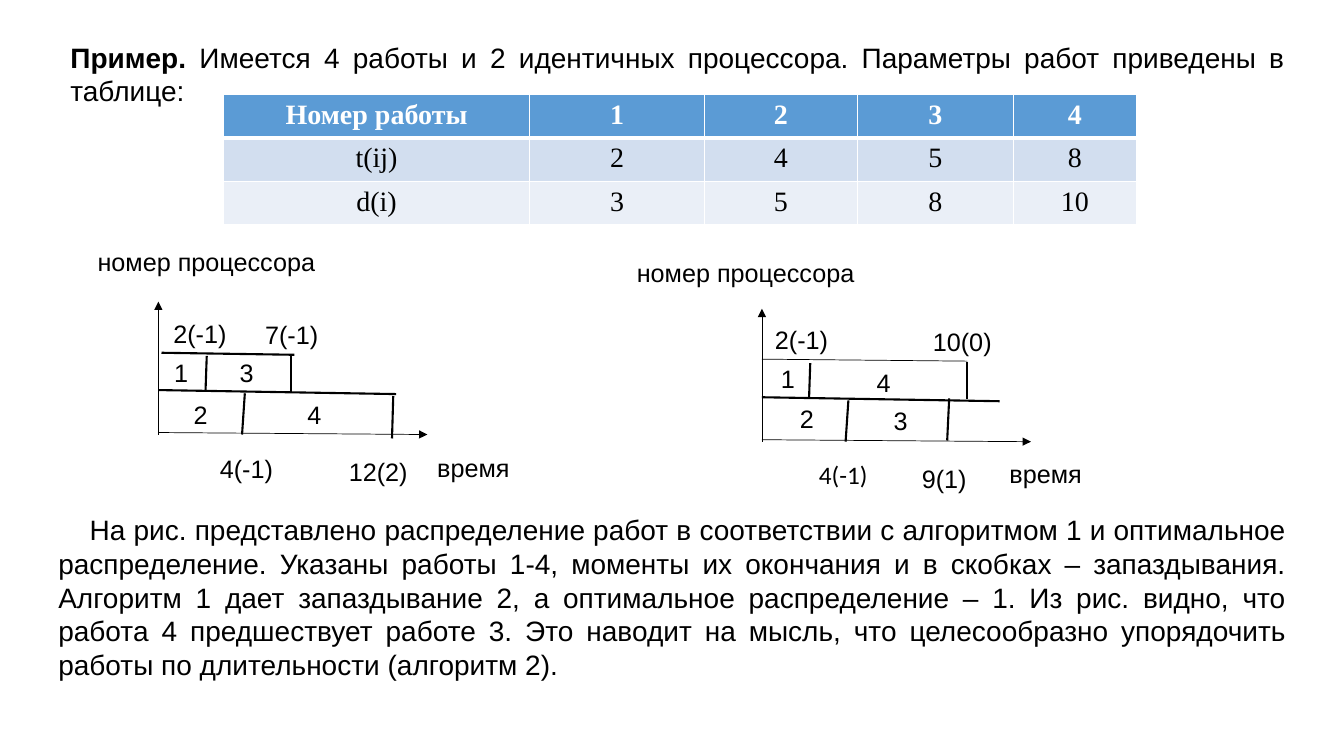
import pptx
import pptx.util
import pptx.dml.color
import pptx.enum.shapes
import pptx.enum.text
import pptx.oxml
import pptx.oxml.ns
from dataclasses import dataclass
from lxml import etree

Cm, Pt = pptx.util.Cm, pptx.util.Pt
ALIGN = pptx.enum.text.PP_ALIGN


@dataclass(frozen=True)
class Theme:
    ink: str = "000000"
    white: str = "FFFFFF"
    header: str = "5B9BD5"
    bands: tuple = ("D2DEEF", "EAEFF7")
    font: str = "Arial"
    table_font: str = "Times New Roman"
    alt_font: str = "Calibri"
    body: int = 20
    label: int = 18
    thin: float = 0.5
    thick: float = 1.5


T = Theme()

INTRO = ("Пример.", " Имеется 4 работы и 2 идентичных процессора. "
         "Параметры работ приведены в таблице:")
CONCLUSION = (
    "На рис. представлено распределение работ в соответствии с алгоритмом 1 и "
    "оптимальное распределение. Указаны работы 1-4, моменты их окончания и в "
    "скобках – запаздывания. Алгоритм 1 дает запаздывание 2, а оптимальное "
    "распределение – 1. Из рис. видно, что работа 4 предшествует работе 3. Это "
    "наводит на мысль, что целесообразно упорядочить работы по длительности "
    "(алгоритм 2).")
JOBS = [("Номер работы", "1", "2", "3", "4"),
        ("t(ij)", "2", "4", "5", "8"),
        ("d(i)", "3", "5", "8", "10")]
JOB_COLUMNS = (7.7, 4.42, 3.84, 3.94, 3.1)

# Schedule parts are in cm from the origin of the axes.
# Lines: x1, y1, x2, y2, width; labels: text, left, top, width
AXES = [(0, -0.05, 6.78, 0), (0, 0, 0, -3.35)]
SHARED_LINES = [(1.22, -1.98, 1.19, -1.12, T.thick),
                (2.18, -1.04, 2.11, 0, T.thick),
                (0, -1.12, 5.99, -1.02, T.thick)]
ALGORITHM_LINES = [(5.92, -0.97, 5.89, 0.1, T.thick),
                   (3.35, -1.98, 3.35, -1.04, T.thick),
                   (0.08, -2.06, 3.43, -2.01, T.thick)]
ALGORITHM_LABELS = [
    ("номер процессора", -1.78, -4.88, 6.78), ("время", 6.78, 0.33, 2.36),
    ("2(-1)", 0.13, -3.05, 1.85), ("7(-1)", 2.44, -3.02, 1.85),
    ("4(-1)", 1.3, 0.36, 1.85), ("12(2)", 4.55, 0.43, 2.01),
    ("1", 0.15, -2.08, 0.86), ("3", 1.8, -2.08, 0.86),
    ("2", 0.64, -1.02, 0.86), ("4", 3.51, -1.02, 0.86)]
OPTIMAL_LINES = [(4.72, -1.09, 4.67, -0.03, T.thick),
                 (5.16, -2.01, 5.16, -1.07, T.thick),
                 (0, -2.08, 5.18, -2.03, T.thin)]
OPTIMAL_LABELS = [
    ("номер процессора", -3.4, -4.78, 7.98), ("время", 5.99, 0.3, 2.36),
    ("2(-1)", 0.08, -3.07, 1.85), ("10(0)", 4.06, -3.02, 2.01),
    ("4(-1)", 1.19, 0.33, 1.75, T.alt_font), ("9(1)", 3.78, 0.41, 1.65),
    ("1", 0.23, -2.11, 0.86), ("4", 2.64, -2.01, 0.86),
    ("2", 0.71, -1.09, 0.86), ("3", 3.07, -1.04, 0.86)]


def rgb(color):
    return pptx.dml.color.RGBColor.from_string(color)


def style(r, size, font=T.font, color=T.ink, bold=False):
    r.font.size, r.font.name, r.font.bold = Pt(size), font, bold
    r.font.color.rgb = rgb(color)


def add_text(s, text, x, y, w, h, size, font=T.font):
    sp = s.shapes.add_textbox(Cm(x), Cm(y), Cm(w), Cm(h))
    tf = sp.text_frame
    tf.word_wrap = True
    tf.text = text
    p = tf.paragraphs[0]
    style(p.runs[0], size, font)
    return p


def add_line(s, x1, y1, x2, y2, width, arrow=False):
    cn = s.shapes.add_connector(pptx.enum.shapes.MSO_CONNECTOR.STRAIGHT,
                                Cm(x1), Cm(y1), Cm(x2), Cm(y2))
    cn.line.width = Pt(width)
    cn.line.color.rgb = rgb(T.ink)
    sppr = cn._element.spPr
    if arrow:
        tail = etree.SubElement(cn.line._get_or_add_ln(),
                                pptx.oxml.ns.qn("a:tailEnd"))
        tail.set("type", "triangle")
    etree.SubElement(sppr, pptx.oxml.ns.qn("a:effectLst"))


def set_borders(cell, **widths):
    for side, width in widths.items():
        cell._tc.get_or_add_tcPr().append(pptx.oxml.parse_xml(
            f'<a:ln{side} {pptx.oxml.ns.nsdecls("a")} w="{Pt(width)}">'
            f'<a:solidFill><a:srgbClr val="{T.white}"/></a:solidFill>'
            f'</a:ln{side}>'))


def add_intro(s, x, y, w, h):
    sp = s.shapes.title
    sp.left, sp.top, sp.width, sp.height = Cm(x), Cm(y), Cm(w), Cm(h)
    tf = sp.text_frame
    tf.auto_size = pptx.enum.text.MSO_AUTO_SIZE.NONE
    tf.vertical_anchor = pptx.enum.text.MSO_ANCHOR.TOP
    p = tf.paragraphs[0]
    p.alignment = ALIGN.JUSTIFY
    for i, text in enumerate(INTRO):
        r = p.add_run()
        r.text = text
        style(r, T.body, bold=i == 0)


def add_jobs_table(s, x, y, w, h):
    tbl = s.shapes.add_table(len(JOBS), len(JOB_COLUMNS),
                             Cm(x), Cm(y), Cm(w), Cm(h)).table
    for col, width in zip(tbl.columns, JOB_COLUMNS):
        col.width = Cm(width)
    for i, (row, fill) in enumerate(zip(JOBS, (T.header, *T.bands))):
        for j, text in enumerate(row):
            cell = tbl.cell(i, j)
            set_borders(cell, L=1, R=1, T=3 if i == 1 else 1,
                        B=3 if i == 0 else 1)
            cell.fill.solid()
            cell.fill.fore_color.rgb = rgb(fill)
            cell.text_frame.text = text
            p = cell.text_frame.paragraphs[0]
            p.alignment = ALIGN.CENTER
            style(p.runs[0], T.body, T.table_font,
                  T.white if i == 0 else T.ink, bold=i == 0)


def add_schedule(s, x, y, lines, labels):
    for x1, y1, x2, y2 in AXES:
        add_line(s, x + x1, y + y1, x + x2, y + y2, T.thin, arrow=True)
    for x1, y1, x2, y2, width in SHARED_LINES + lines:
        add_line(s, x + x1, y + y1, x + x2, y + y2, width)
    for text, dx, dy, w, *font in labels:
        add_text(s, text, x + dx, y + dy, w, 1.02, T.label, *font)


def add_conclusion(s, x, y, w, h):
    p = add_text(s, CONCLUSION, x, y, w, h, T.body)
    p.alignment = ALIGN.JUSTIFY
    p._p.get_or_add_pPr().set("indent", str(Cm(0.79)))


def main():
    prs = pptx.Presentation()
    prs.slide_width, prs.slide_height = Cm(33.87), Cm(19.05)
    s = prs.slides.add_slide(prs.slide_layouts.get_by_name("Title Only"))

    # Task statement and job parameters
    add_intro(s, 1.52, 0.89, 31.12, 1.96)
    add_jobs_table(s, 5.64, 2.37, sum(JOB_COLUMNS), 3.3)

    # Schedules: algorithm 1 and the optimal one
    add_schedule(s, 3.99, 10.95, ALGORITHM_LINES, ALGORITHM_LABELS)
    add_schedule(s, 19.2, 11.13, OPTIMAL_LINES, OPTIMAL_LABELS)

    # Conclusion
    add_conclusion(s, 1.22, 12.8, 31.45, 4.52)
    prs.save("out.pptx")


if __name__ == "__main__":
    main()
